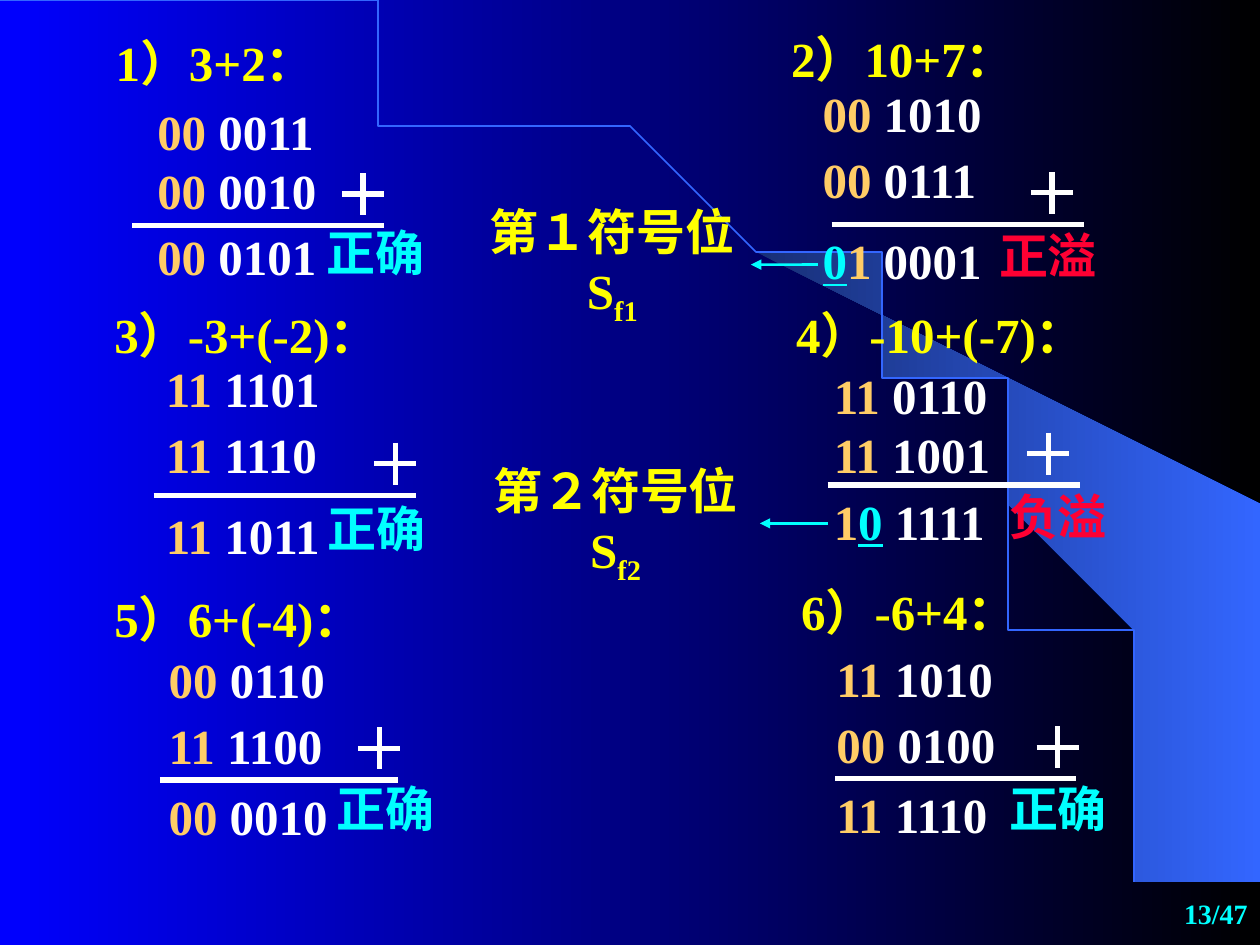
from lxml import etree
from pptx import Presentation
from pptx.dml import color
from pptx.enum import shapes, text
from pptx.oxml import ns
from pptx.util import Pt

YELLOW, CYAN, RED = "FFFF00", "00FFFF", "FF0033"
ORANGE, WHITE, BLUE = "FFCC66", "FFFFFF", "3366FF"

WEDGE = [(9.2, 7.48), (9.99, 7.49), (9.99, 4.23), (5.89, 1.73), (6.24, 1.99),
         (6.53, 2.22), (6.85, 2.5), (7.16, 2.8), (7.62, 3.3), (8.03, 3.84),
         (8.32, 4.31), (8.58, 4.79), (8.78, 5.28), (8.93, 5.72), (9.03, 6.09),
         (9.13, 6.56), (9.17, 6.96)]

SUMS = [
    dict(box=(59, 15, 183), title="1）3+2：", operands=["00 0011", "00 0010"],
         digits=(23.8, 39.7, 144), spaced=False, rule=(16.6, 113.9, 144), plus=148.4,
         result=[("00", ORANGE), (" 0101", WHITE)], result_y=111,
         verdict=("正确", CYAN, 120.3, 108.8)),
    dict(box=(445, 13, 187), title="2）10+7：", operands=["00 1010", "00 0111"],
         digits=(18, 43.2, 144), spaced=True, rule=(30.2, 115.2, 144), plus=156.2,
         result=[("0", CYAN), ("1", ORANGE), (" 0001", WHITE)], result_y=115.2,
         verdict=("正溢", RED, 118.8, 112.3)),
    dict(box=(58.3, 170.6, 211), title="3）-3+(-2)：", operands=["11 1101", "11 1110"],
         digits=(29.5, 42.5, 126.7), spaced=True, rule=(29.5, 112.4, 149.8), plus=167.6,
         result=[("11", ORANGE), (" 1011", WHITE)], result_y=114.5,
         verdict=("正确", CYAN, 121.7, 110.9)),
    dict(box=(447.8, 170.6, 218), title="4）-10+(-7)：", operands=["11 0110", "11 1001"],
         digits=(21.6, 34.6, 131.8), spaced=False, rule=(25.2, 106.6, 144), plus=151.2,
         result=[("1", ORANGE), ("0", CYAN), (" 1111", WHITE)], result_y=106.6,
         verdict=("负溢", RED, 121.7, 103.7)),
    dict(box=(58.3, 332.6, 200), title="5）6+(-4)：", operands=["00 0110", "11 1100"],
         digits=(31, 46.8, 121), spaced=True, rule=(33.1, 113.1, 136.1), plus=158.4,
         result=[("00", ORANGE), (" 0010", WHITE)], result_y=113.1,
         verdict=("正确", CYAN, 126.7, 108.8)),
    dict(box=(450.7, 329, 181.5), title="6）-6+4：", operands=["11 1010", "00 0100"],
         digits=(20.2, 49.7, 121.7), spaced=True, rule=(26.7, 116, 137.5), plus=153.7,
         result=[("11", ORANGE), (" 1110", WHITE)], result_y=116,
         verdict=("正确", CYAN, 118.8, 112.4)),
]


def rgb(value):
    return color.RGBColor.from_string(value)


def set_gradient(fill, start, end):
    fill.gradient()
    fill.gradient_angle = 0
    for stop, value in zip(fill.gradient_stops, (start, end)):
        stop.color.rgb = rgb(value)


def add_run(p, value, hue, size=28, underline=False):
    r = p.add_run()
    r.text = value
    r.font.name = "Times New Roman"
    r.font.size = Pt(size)
    r.font.bold = True
    r.font.color.rgb = rgb(hue)
    if underline:
        r.font.underline = True
    return r


def add_box(s, left, top, width, height=41):
    sp = s.shapes.add_textbox(Pt(left), Pt(top), Pt(width), Pt(height))
    tf = sp.text_frame
    tf.word_wrap = True
    tf.auto_size = text.MSO_AUTO_SIZE.SHAPE_TO_FIT_TEXT
    tf.paragraphs[0].space_before = Pt(17.5)
    return sp


def add_line(s, x1, y1, x2, y2, hue=WHITE, width=3):
    line = s.shapes.add_connector(shapes.MSO_CONNECTOR.STRAIGHT, Pt(x1), Pt(y1), Pt(x2), Pt(y2))
    line.line.color.rgb = rgb(hue)
    line.line.width = Pt(width)
    etree.SubElement(line._element.spPr, ns.qn("a:effectLst"))
    return line


def add_outline(s, points, close):
    builder = s.shapes.build_freeform(*points[0], scale=Pt(72))
    builder.add_line_segments(points[1:], close=close)
    sp = builder.convert_to_shape()
    sp.shadow.inherit = False
    return sp


def add_backdrop(s):
    set_gradient(s.background.fill, "0000FF", "000000")
    wedge = add_outline(s, WEDGE, True)
    set_gradient(wedge.fill, "182F76", BLUE)
    wedge.line.fill.background()
    steps = [i / 80 for i in range(81)]
    arc = add_outline(s, [(15.24 * t * (1 - t) ** 2 + 27.6 * t ** 2 * (1 - t) + 9.2 * t ** 3,
                           10.05 * t ** 2 * (1 - t) + 7.49 * t ** 3) for t in steps], False)
    arc.fill.background()
    arc.line.color.rgb = rgb(BLUE)
    arc.line.width = Pt(1)


def add_sum(s, box, title, operands, digits, spaced, rule, plus, result, result_y, verdict):
    left, top, width = box
    add_run(add_box(s, left, top, width).text_frame.paragraphs[0], title, YELLOW)

    dx, dy, digits_width = digits
    tf = add_box(s, left + dx, top + dy, digits_width, 65.5 if spaced else 74.9).text_frame
    for p, operand in zip((tf.paragraphs[0], tf.add_paragraph()), operands):
        p.space_before = Pt(17.5 if spaced else 0)
        if spaced:
            p.line_spacing = 0.6
        add_run(p, operand[:2], ORANGE)
        add_run(p, operand[2:], WHITE)

    rule_x, rule_y, rule_width = rule
    x, y = left + plus, top + rule_y - 18
    add_line(s, x - 12, y, x + 12, y)
    add_line(s, x, y - 12, x, y + 12)
    add_line(s, left + rule_x, top + rule_y, left + rule_x + rule_width, top + rule_y)

    p = add_box(s, left + dx, top + result_y, 138).text_frame.paragraphs[0]
    for value, hue in result:
        add_run(p, value, hue, underline=hue == CYAN)

    value, hue, dx, dy = verdict
    add_run(add_box(s, left + dx, top + dy, 90).text_frame.paragraphs[0], value, hue)


def add_sign_label(s, box, name, subscript, arrow_end):
    sp = add_box(s, *box)
    p = sp.text_frame.paragraphs[0]
    p.alignment = text.PP_ALIGN.CENTER
    add_run(p, name, YELLOW)
    r = add_run(p, subscript, YELLOW)
    r.font._element.set("baseline", "-25000")
    left, top, width, height = box
    y = top + height / 2
    arrow = add_line(s, left + width, y, arrow_end, y, CYAN, 1.5)
    arrow.begin_connect(sp, 3)
    etree.SubElement(arrow.line._get_or_add_ln(), ns.qn("a:headEnd"), type="triangle")


def add_page_number(s, box, value):
    tf = add_box(s, *box).text_frame
    tf.auto_size = text.MSO_AUTO_SIZE.NONE
    tf.vertical_anchor = text.MSO_ANCHOR.MIDDLE
    p = tf.paragraphs[0]
    p.space_before = Pt(0)
    p.alignment = text.PP_ALIGN.RIGHT
    add_run(p, value, CYAN, 16)


def main():
    prs = Presentation()
    prs.slide_width, prs.slide_height = Pt(720), Pt(540)
    s = prs.slides.add_slide(prs.slide_layouts[6])
    add_backdrop(s)
    for item in SUMS:
        add_sum(s, **item)
    add_sign_label(s, (270.7, 111.6, 158.4, 79.2), "第１符号位S", "f1", 467.3)
    add_sign_label(s, (269.3, 259.5, 164.9, 79.2), "第２符号位S", "f2", 473)
    add_page_number(s, (570.2, 504, 149.8, 36), "13/47")
    prs.save("out.pptx")


if __name__ == "__main__":
    main()
